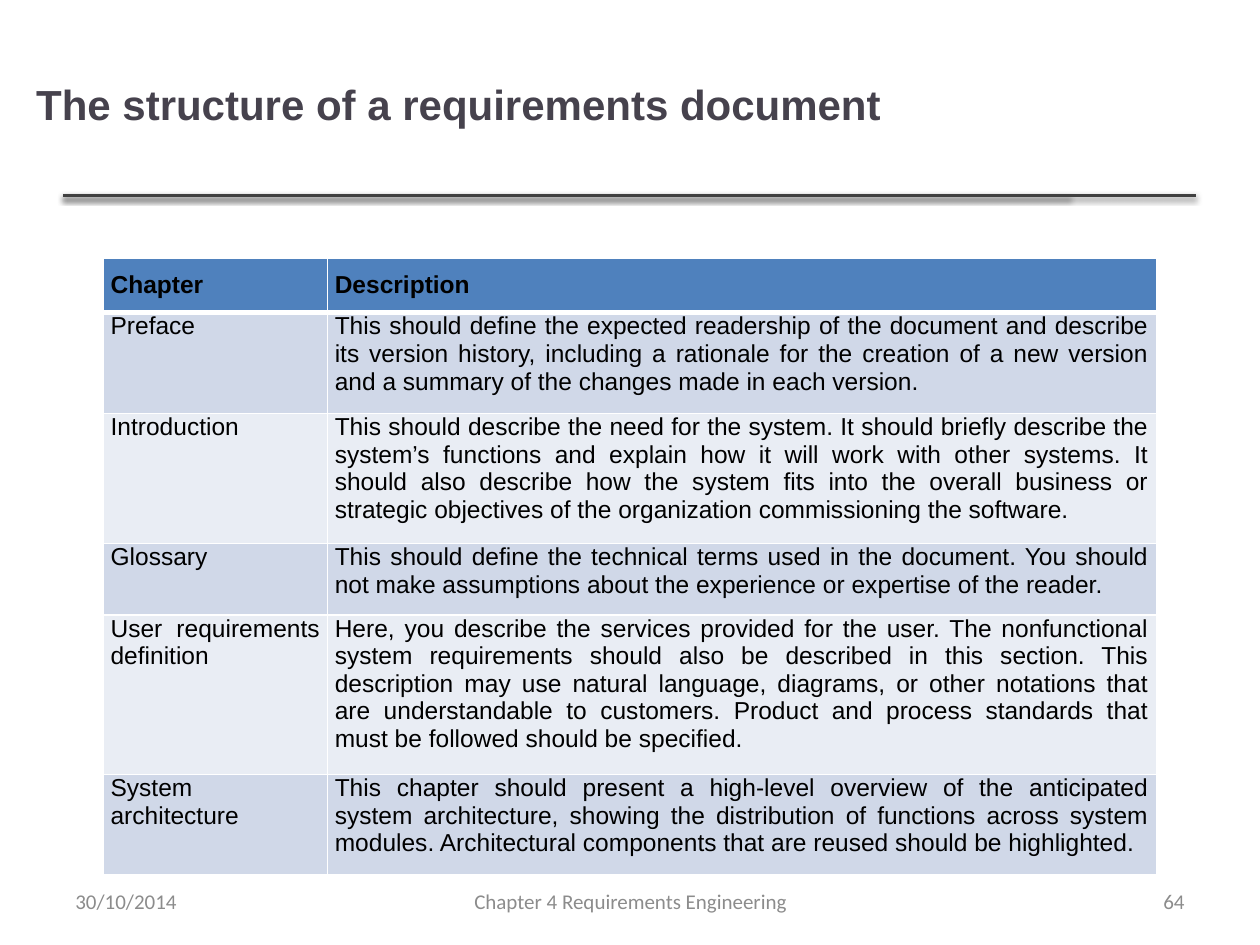
"""Build a slide with a table describing the structure of a requirements document."""
import lxml.etree
import pptx
import pptx.dml.color
import pptx.enum.shapes
import pptx.enum.text
import pptx.oxml
import pptx.oxml.ns
import pptx.util

Cm = pptx.util.Cm
Pt = pptx.util.Pt
RGBColor = pptx.dml.color.RGBColor
ALIGN = pptx.enum.text.PP_ALIGN
MIDDLE = pptx.enum.text.MSO_ANCHOR.MIDDLE

TITLE = RGBColor(0x46, 0x42, 0x4D)
RULE = RGBColor(0x40, 0x40, 0x40)
FOOTER = RGBColor(0x8C, 0x8C, 0x8C)
BLACK = RGBColor(0x00, 0x00, 0x00)
WHITE = RGBColor(0xFF, 0xFF, 0xFF)
HEADER_FILL = RGBColor(0x4F, 0x81, 0xBD)
BANDS = [RGBColor(0xD0, 0xD8, 0xE8), RGBColor(0xE9, 0xED, 0xF4)]

NAMESPACE = 'xmlns:a="http://schemas.openxmlformats.org/drawingml/2006/main"'
SHADOW = (
    f'<a:effectLst {NAMESPACE}><a:outerShdw blurRad="40000" dist="20000" dir="5400000" '
    'rotWithShape="0"><a:srgbClr val="000000"><a:alpha val="38000"/></a:srgbClr>'
    "</a:outerShdw></a:effectLst>"
)

CHAPTERS = [
    ("Chapter", "Description"),
    ("Preface",
     "This should define the expected readership of the document and describe its version "
     "history, including a rationale for the creation of a new version and a summary of the "
     "changes made in each version. "),
    ("Introduction",
     "This should describe the need for the system. It should briefly describe the system’s "
     "functions and explain how it will work with other systems. It should also describe how "
     "the system fits into the overall business or strategic objectives of the organization "
     "commissioning the software."),
    ("Glossary",
     "This should define the technical terms used in the document. You should not make "
     "assumptions about the experience or expertise of the reader."),
    ("User requirements definition",
     "Here, you describe the services provided for the user. The nonfunctional system "
     "requirements should also be described in this section. This description may use natural "
     "language, diagrams, or other notations that are understandable to customers. Product and "
     "process standards that must be followed should be specified."),
    ("System architecture",
     "This chapter should present a high-level overview of the anticipated system architecture, "
     "showing the distribution of functions across system modules. Architectural components "
     "that are reused should be highlighted."),
]


def write(frame, text, font, size, color, align, bold=False):
    para = frame.paragraphs[0]
    para.alignment = align
    span = para.add_run()
    span.text = text
    span.font.name = font
    span.font.size = Pt(size)
    span.font.bold = bold
    span.font.color.rgb = color


def add_border(cell, side, width):
    cell._tc.get_or_add_tcPr().append(pptx.oxml.parse_xml(
        f'<a:{side} {NAMESPACE} w="{Pt(width)}"><a:solidFill><a:srgbClr val="{WHITE}"/>'
        f"</a:solidFill></a:{side}>"
    ))


deck = pptx.Presentation()
deck.slide_width = Cm(25.4)
deck.slide_height = Cm(19.05)
page = deck.slides.add_slide(deck.slide_layouts[6])

for right in (21.56, 24.1):
    rule = page.shapes.add_connector(
        pptx.enum.shapes.MSO_CONNECTOR.STRAIGHT, Cm(1.27), Cm(3.94), Cm(right), Cm(3.94))
    rule.line.color.rgb = RULE
    rule.line.width = Pt(2)
    rule._element.spPr.append(pptx.oxml.parse_xml(SHADOW))

LABELS = [
    ("The structure of a requirements document", 0.48, 0.58, 20.47, 3.02,
     "Arial", 24, TITLE, ALIGN.LEFT, True),
    ("30/10/2014", 1.27, 17.65, 5.92, 1.02, "Calibri", 12, FOOTER, ALIGN.LEFT, False),
    ("Chapter 4 Requirements Engineering", 8.69, 17.65, 8.05, 1.02,
     "Calibri", 12, FOOTER, ALIGN.CENTER, False),
    ("64", 18.21, 17.65, 5.92, 1.02, "Calibri", 12, FOOTER, ALIGN.RIGHT, False),
]
for text, left, top, width, height, *style in LABELS:
    box = page.shapes.add_textbox(Cm(left), Cm(top), Cm(width), Cm(height))
    box.text_frame.word_wrap = True
    box.text_frame.vertical_anchor = MIDDLE
    write(box.text_frame, text, *style)

table = page.shapes.add_table(
    len(CHAPTERS), 2, Cm(2.08), Cm(5.21), Cm(21.23), Cm(6.24)).table
for column, width in zip(table.columns, (4.52, 16.71)):
    column.width = Cm(width)

for row, texts in enumerate(CHAPTERS):
    is_header = row == 0
    for column, text in enumerate(texts):
        cell = table.cell(row, column)
        cell.margin_left = cell.margin_right = Cm(0.15)
        cell.margin_top = Cm(0.25 if is_header else 0)
        cell.margin_bottom = Cm(0.25)
        write(cell.text_frame, text, "Arial", 14, BLACK, ALIGN.JUSTIFY, is_header)
        add_border(cell, "lnL", 1)
        add_border(cell, "lnR", 1)
        add_border(cell, "lnT", 3 if row == 1 else 1)
        add_border(cell, "lnB", 3 if is_header else 1)
        cell.fill.solid()
        cell.fill.fore_color.rgb = HEADER_FILL if is_header else BANDS[(row - 1) % 2]

deck.save("out.pptx")
